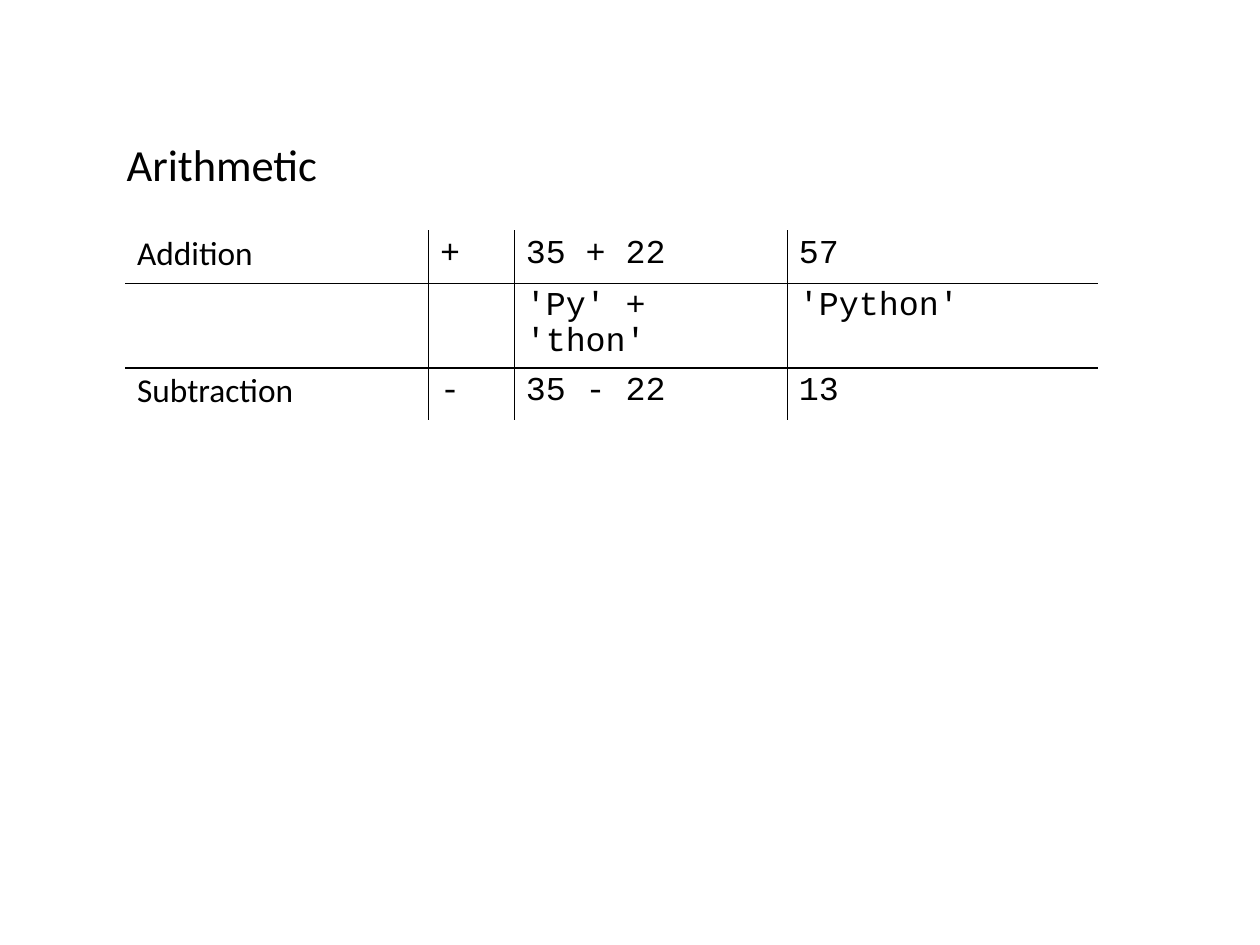
from dataclasses import dataclass

from lxml import etree
from pptx import Presentation
from pptx.dml.color import RGBColor
from pptx.enum.text import MSO_ANCHOR, MSO_AUTO_SIZE
from pptx.oxml.ns import qn
from pptx.slide import Slide
from pptx.table import _Cell
from pptx.text.text import TextFrame
from pptx.util import Inches, Pt

TOP = MSO_ANCHOR.TOP
GROW = MSO_AUTO_SIZE.SHAPE_TO_FIT_TEXT
COLORS = {"ink": "000000"}
SANS = "Calibri"
MONO = "Courier New"
CM_PER_INCH = 2.54
SLIDE_WIDTH_CM = 28
SLIDE_HEIGHT_CM = 21
COLUMN_FONTS = (SANS, MONO, MONO, MONO)
COLUMN_WIDTHS = (2.65, 0.75, 2.39, 2.71)


@dataclass(frozen=True)
class OperationRow:
    height: float
    texts: tuple[str, str, str, str]


OPERATIONS = (
    OperationRow(0.46, ("Addition", "+", "35 + 22", "57")),
    OperationRow(0.74, ("", "", "'Py' + 'thon'", "'Python'")),
    OperationRow(0.46, ("Subtraction", "-", "35 - 22", "13")),
)


def write_text(frame: TextFrame, text: str, *, font: str, size: float,
               line_spacing: float, space_after: float = 0, hanging: float = 0) -> None:
    """Write one formatted paragraph into a text frame."""
    paragraph = frame.paragraphs[0]
    paragraph.line_spacing = line_spacing
    paragraph.space_after = Pt(space_after)
    if hanging:
        properties = paragraph._p.get_or_add_pPr()
        properties.set("marL", str(Inches(hanging)))
        properties.set("indent", str(-Inches(hanging)))
    paragraph.font.size = Pt(size)
    if text:
        run = paragraph.add_run()
        run.text = text
        run.font.name = font
        run.font.size = Pt(size)
        run.font.bold = False
        run.font.color.rgb = RGBColor.from_string(COLORS["ink"])


def add_border(cell: _Cell, side: str) -> None:
    """Draw a thin border on one side (L, R, T or B) of a cell."""
    line = etree.SubElement(cell._tc.get_or_add_tcPr(), qn(f"a:ln{side}"), w=str(Pt(1)))
    fill = etree.SubElement(line, qn("a:solidFill"))
    etree.SubElement(fill, qn("a:srgbClr"), val=COLORS["ink"])


def add_title(slide: Slide) -> None:
    """Add the slide title."""
    shape = slide.shapes.add_textbox(Inches(1.01), Inches(0.92), Inches(1.89), Inches(0.73))
    frame = shape.text_frame
    frame.word_wrap = False
    frame.auto_size = GROW
    write_text(frame, "Arithmetic", font=SANS, size=28, line_spacing=1.5, hanging=0.5)


def add_operations_table(slide: Slide) -> None:
    """Add the operations table, ruled only between its cells."""
    last_row, last_column = len(OPERATIONS) - 1, len(COLUMN_WIDTHS) - 1
    table = slide.shapes.add_table(
        len(OPERATIONS), len(COLUMN_WIDTHS), Inches(1.1), Inches(2.02),
        Inches(sum(COLUMN_WIDTHS)), Inches(sum(row.height for row in OPERATIONS))).table
    table.first_row = False
    table.horz_banding = False
    for column, width in zip(table.columns, COLUMN_WIDTHS):
        column.width = Inches(width)
    for row_index, operation in enumerate(OPERATIONS):
        table.rows[row_index].height = Inches(operation.height)
        for column_index, text in enumerate(operation.texts):
            cell = table.cell(row_index, column_index)
            cell.margin_left = cell.margin_right = Inches(0.1)
            cell.margin_top = cell.margin_bottom = Inches(0.04)
            cell.vertical_anchor = TOP
            inner_sides = {"L": column_index > 0, "R": column_index < last_column,
                           "T": row_index > 0, "B": row_index < last_row}
            for side, is_inner in inner_sides.items():
                if is_inner:
                    add_border(cell, side)
            cell.fill.background()
            write_text(cell.text_frame, text, font=COLUMN_FONTS[column_index], size=21,
                       line_spacing=0.93, space_after=14.2)


def main() -> None:
    """Build and save the arithmetic slide."""
    presentation = Presentation()
    presentation.slide_width = Inches(SLIDE_WIDTH_CM / CM_PER_INCH)
    presentation.slide_height = Inches(SLIDE_HEIGHT_CM / CM_PER_INCH)
    slide = presentation.slides.add_slide(presentation.slide_layouts[6])
    add_title(slide)
    add_operations_table(slide)
    presentation.save("out.pptx")


if __name__ == "__main__":
    main()
